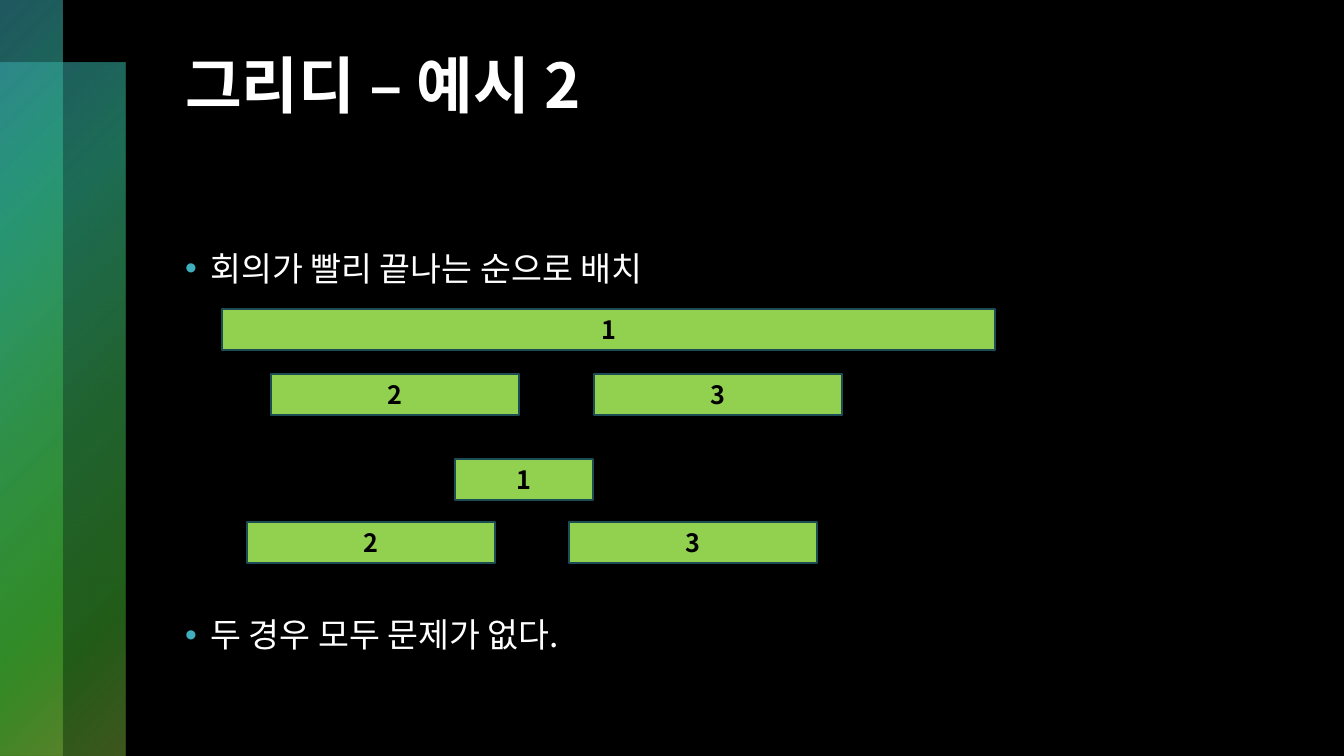
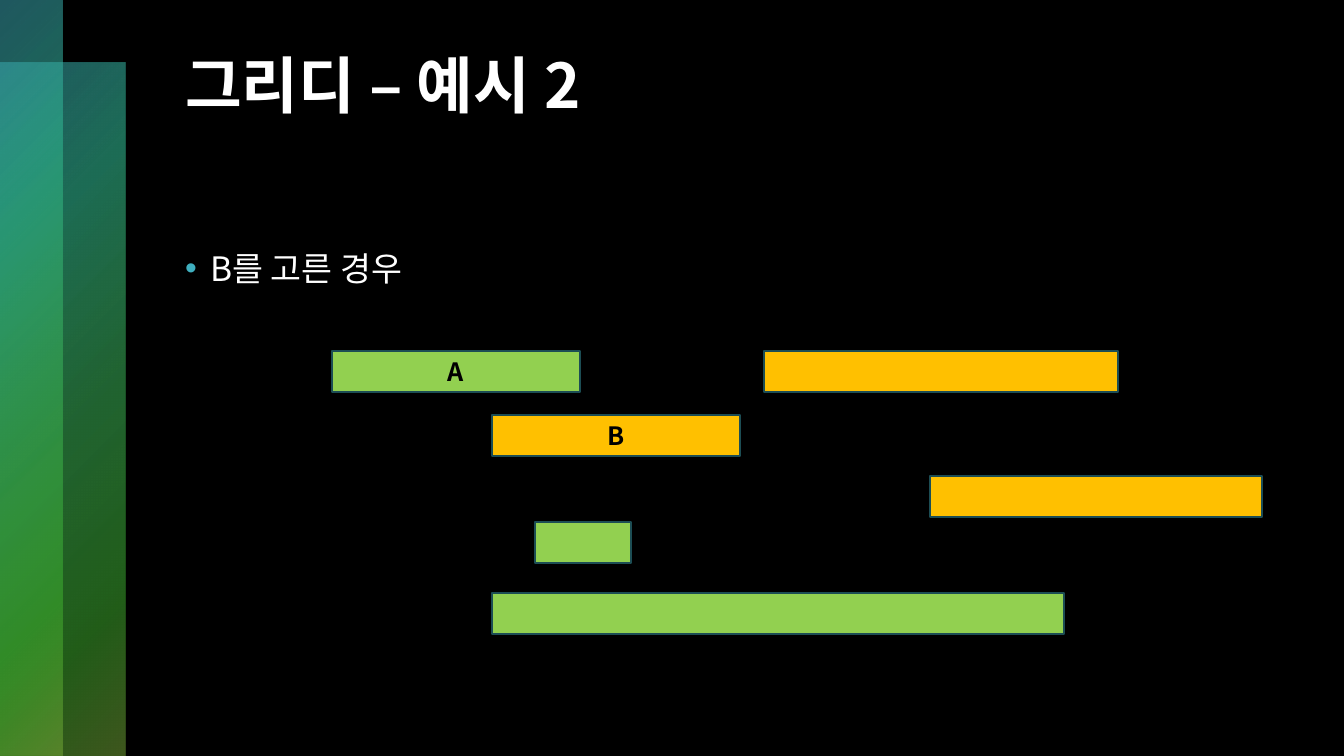
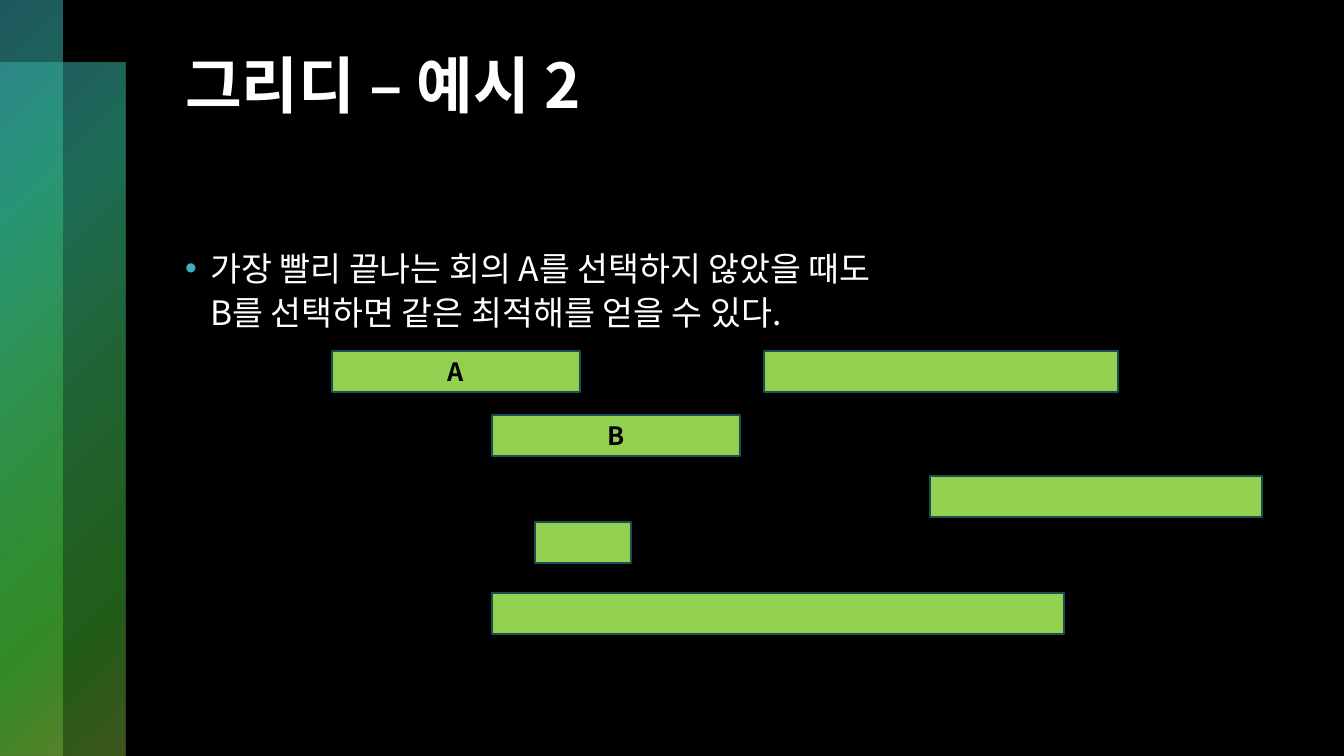
import lxml.etree
import pptx
import pptx.dml.color
import pptx.enum.shapes
import pptx.enum.text
import pptx.oxml.ns
import pptx.util

PX = 914400 / 100.8
SLIDE_W, SLIDE_H = 1344, 756
BAND_W = 63
BAR_H = 41
FONT = "Noto Sans CJK KR"
COLORS = {
    "back": "000000",
    "text": "FFFFFF",
    "label": "000000",
    "bullet": "3FAFBF",
    "green": "92D050",
    "amber": "FFC000",
    "outline": "1C4D54",
}
# Band gradient: position, colour, opacity in percent
BAND_STOPS = [(0, "3FAFBF", 50), (25, "30B58E", 60), (50, "3CB65F", 55),
              (81, "43B931", 50), (99, "7AAF3A", 50)]
TITLE = "그리디 – 예시 2"
TITLE_BOX = (175, 50, 1045, 171)
BODY_BOX = (175, 238, 1087, 432)

# Meetings: left and top within the chart, width, label
ORDER_BOX = (222, 309)
ORDER_BARS = [(0, 0, 773, "1"), (49, 65, 248, "2"), (372, 65, 248, "3"),
              (233, 150, 138, "1"), (25, 213, 248, "2"), (347, 213, 248, "3")]
CHOICE_BOX = (332, 351)
CHOICE_BARS = [(0, 0, 248, "A"), (160, 64, 248, "B"), (432, 0, 354, ""),
               (598, 125, 332, ""), (203, 171, 96, ""), (160, 242, 572, "")]


def px(n):
    return pptx.util.Emu(round(n * PX))


def rgb(name):
    return pptx.dml.color.RGBColor.from_string(COLORS[name])


def add_xml(parent, tag, **attrs):
    el = lxml.etree.SubElement(parent, pptx.oxml.ns.qn(tag))
    for key, value in attrs.items():
        el.set(key, str(value))
    return el


def write(p, text, size, color="text", bold=False, align=None, spacing=None, before=0):
    p.text = text
    p.alignment = align
    p.line_spacing = spacing
    p.space_before = pptx.util.Pt(before)
    for r in p.runs:
        r.font.size = pptx.util.Pt(size)
        r.font.bold = bold
        r.font.name = FONT
        r.font.color.rgb = rgb(color)
        add_xml(r.font._element, "a:ea", typeface=FONT)


def add_rect(slide, x, y, w, h):
    sp = slide.shapes.add_shape(pptx.enum.shapes.MSO_SHAPE.RECTANGLE,
                                px(x), px(y), px(w), px(h))
    sp.shadow.inherit = False
    return sp


def move_to(sp, box):
    sp.left, sp.top, sp.width, sp.height = map(px, box)


def add_band(slide, master, x, y, w, h):
    """Put a translucent gradient band on the master."""
    sp = add_rect(slide, x, y, w, h)
    sp.line.fill.background()
    sp_pr = sp._element.spPr
    grad = add_xml(sp_pr, "a:gradFill", rotWithShape=1)
    stops = add_xml(grad, "a:gsLst")
    for pos, color, opacity in BAND_STOPS:
        stop = add_xml(stops, "a:gs", pos=pos * 1000)
        add_xml(add_xml(stop, "a:srgbClr", val=color), "a:alpha", val=opacity * 1000)
    focus = add_xml(grad, "a:path", path="circle")
    add_xml(focus, "a:fillToRect", r=100000, b=100000)
    sp_pr.insert(2, grad)
    master.shapes._spTree.insert(2, sp._element)


def add_title(slide, text):
    tf = slide.shapes.title.text_frame
    tf.vertical_anchor = pptx.enum.text.MSO_ANCHOR.TOP
    tf.auto_size = pptx.enum.text.MSO_AUTO_SIZE.NONE
    write(tf.paragraphs[0], text, 44, bold=True,
          align=pptx.enum.text.PP_ALIGN.LEFT, spacing=0.9)


def add_bullets(slide, items):
    """Fill the body with (text, space before) pairs."""
    tf = slide.placeholders[1].text_frame
    tf.auto_size = pptx.enum.text.MSO_AUTO_SIZE.NONE
    for i, (text, before) in enumerate(items):
        p = tf.add_paragraph() if i else tf.paragraphs[0]
        write(p, text, 24, spacing=pptx.util.Pt(32), before=before)
        p_pr = p._p.get_or_add_pPr()
        p_pr.set("marL", "228600")
        p_pr.set("indent", "-228600")
        add_xml(add_xml(p_pr, "a:buClr"), "a:srgbClr", val=COLORS["bullet"])
        add_xml(p_pr, "a:buFont", typeface="Arial")
        add_xml(p_pr, "a:buChar", char="•")


def add_meetings(slide, box, bars, chosen=()):
    """Draw meetings as bars; the chosen ones are amber."""
    left, top = box
    for i, (x, y, w, label) in enumerate(bars):
        sp = add_rect(slide, left + x, top + y, w, BAR_H)
        sp.fill.solid()
        sp.fill.fore_color.rgb = rgb("amber" if i in chosen else "green")
        sp.line.color.rgb = rgb("outline")
        sp.line.width = pptx.util.Pt(1)
        if label:
            tf = sp.text_frame
            tf.vertical_anchor = pptx.enum.text.MSO_ANCHOR.MIDDLE
            write(tf.paragraphs[0], label, 18, color="label", bold=True,
                  align=pptx.enum.text.PP_ALIGN.CENTER)


def set_up_theme(prs, layout):
    fill = prs.slide_master.background.fill
    fill.solid()
    fill.fore_color.rgb = rgb("back")
    move_to(layout.placeholders[0], TITLE_BOX)
    move_to(layout.placeholders[1], BODY_BOX)


def add_meeting_slide(prs, layout, bullets, box, bars, chosen=()):
    slide = prs.slides.add_slide(layout)
    add_title(slide, TITLE)
    add_bullets(slide, bullets)
    add_meetings(slide, box, bars, chosen)
    return slide


def main():
    prs = pptx.Presentation()
    prs.slide_width, prs.slide_height = px(SLIDE_W), px(SLIDE_H)
    layout = prs.slide_layouts[1]
    set_up_theme(prs, layout)

    # Sorting by finish time
    slide = add_meeting_slide(
        prs, layout,
        [("회의가 빨리 끝나는 순으로 배치", 12), ("두 경우 모두 문제가 없다.", 230)],
        ORDER_BOX, ORDER_BARS)

    # Shared side bands; the narrow one ends up behind
    add_band(slide, prs.slide_master, 0, 0, BAND_W, SLIDE_H)
    add_band(slide, prs.slide_master, 0, BAND_W, 2 * BAND_W, SLIDE_H - BAND_W)

    # Choosing B, then the conclusion
    add_meeting_slide(prs, layout, [("B를 고른 경우", 12)],
                      CHOICE_BOX, CHOICE_BARS, chosen=(1, 2, 3))
    add_meeting_slide(
        prs, layout,
        [("가장 빨리 끝나는 회의 A를 선택하지 않았을 때도\n"
          "B를 선택하면 같은 최적해를 얻을 수 있다.", 12)],
        CHOICE_BOX, CHOICE_BARS)

    prs.save("out.pptx")


if __name__ == "__main__":
    main()
